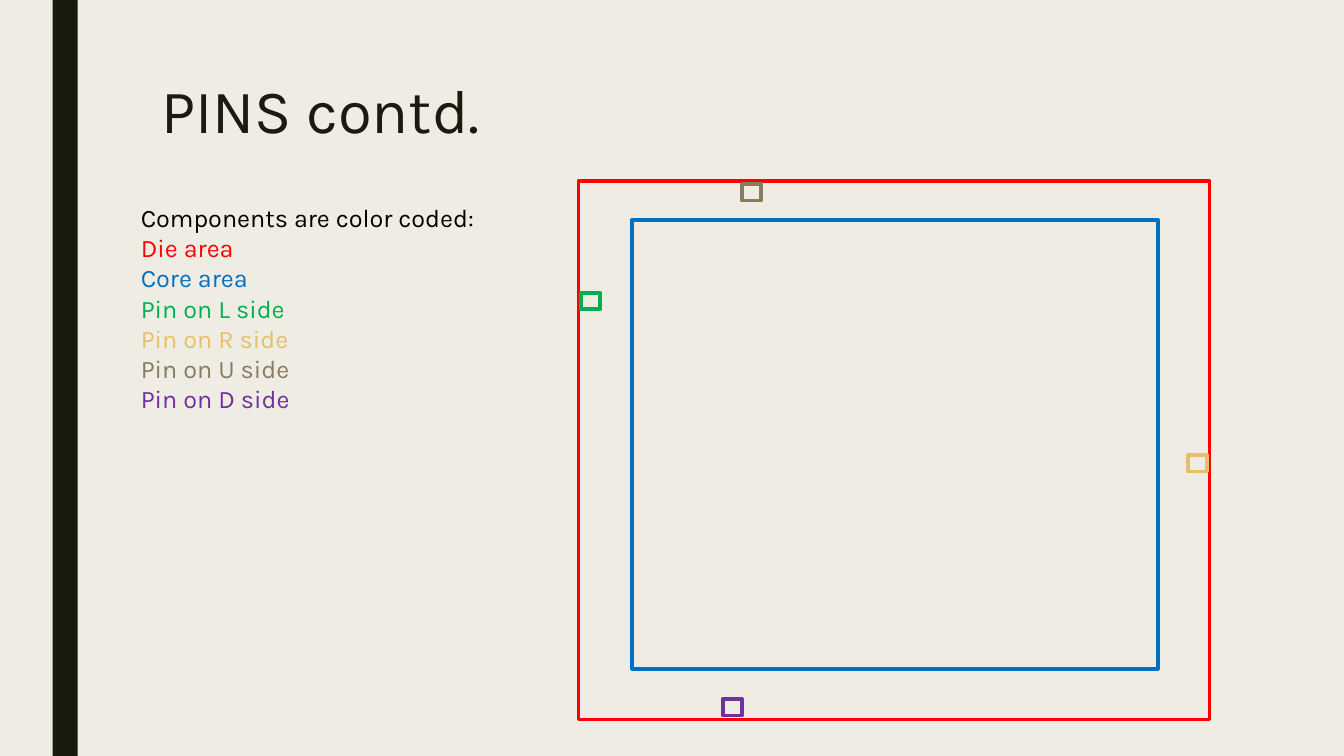
from dataclasses import dataclass

from pptx import Presentation
from pptx.dml.color import RGBColor
from pptx.enum import shapes, text
from pptx.util import Pt


@dataclass(frozen=True)
class Theme:
    font: str = "Karla"
    title_size: float = 44
    body_size: float = 18
    outline: float = 2.75
    paper: str = "EFEDE3"
    ink: str = "191B0E"
    black: str = "000000"
    die: str = "FF0000"
    core: str = "0070C0"
    left: str = "00B050"
    right: str = "E6C069"
    up: str = "897B61"
    down: str = "7030A0"


class SlideBuilder:
    def __init__(self, slide, theme):
        self.slide = slide
        self.theme = theme
        background = slide.background.fill
        background.solid()
        background.fore_color.rgb = RGBColor.from_string(theme.paper)

    def rectangle(self, box):
        rect = self.slide.shapes.add_shape(
            shapes.MSO_SHAPE.RECTANGLE, *map(Pt, box))
        rect.shadow.inherit = False
        return rect

    def band(self, box, color):
        band = self.rectangle(box)
        band.fill.solid()
        band.fill.fore_color.rgb = RGBColor.from_string(color)
        band.line.fill.background()

    def frame(self, box, color):
        frame = self.rectangle(box)
        frame.fill.background()
        frame.line.color.rgb = RGBColor.from_string(color)
        frame.line.width = Pt(self.theme.outline)

    def text(self, box, lines, size, spacing=1.0):
        body = self.slide.shapes.add_textbox(*map(Pt, box)).text_frame
        frame_format = {
            "word_wrap": True,
            "auto_size": text.MSO_AUTO_SIZE.NONE,
            "vertical_anchor": text.MSO_ANCHOR.TOP,
        }
        for name, value in frame_format.items():
            setattr(body, name, value)
        font_format = {"name": self.theme.font, "size": Pt(size)}
        for index, (words, color) in enumerate(lines):
            line = body.add_paragraph() if index else body.paragraphs[0]
            line.line_spacing = spacing
            run = line.add_run()
            run.text = words
            for name, value in font_format.items():
                setattr(run.font, name, value)
            run.font.color.rgb = RGBColor.from_string(color)


def main():
    deck = Presentation()
    deck.slide_width, deck.slide_height = Pt(960), Pt(540)
    theme = Theme()
    page = SlideBuilder(deck.slides.add_slide(deck.slide_layouts[6]), theme)

    page.band((37.5, 0, 18, 540), theme.ink)
    page.text((108, 54, 756, 116.6), [("PINS contd.", theme.ink)],
              theme.title_size, 0.89)

    legend = [
        ("Components are color coded:", theme.black),
        ("Die area", theme.die),
        ("Core area", theme.core),
        ("Pin on L side", theme.left),
        ("Pin on R side", theme.right),
        ("Pin on U side", theme.up),
        ("Pin on D side", theme.down),
    ]
    page.text((93.5, 141, 293, 160), legend, theme.body_size)

    page.frame((413.3, 129.5, 450.7, 384.5), theme.die)
    page.frame((451.6, 157, 375.4, 320.7), theme.core)

    pin_size = (13.8, 11.7)
    pins = [
        (414.9, 209.3, theme.left),
        (529.9, 131.5, theme.up),
        (848.4, 325.1, theme.right),
        (516.2, 499.4, theme.down),
    ]
    for x, y, color in pins:
        page.frame((x, y, *pin_size), color)

    deck.save("out.pptx")


if __name__ == "__main__":
    main()
